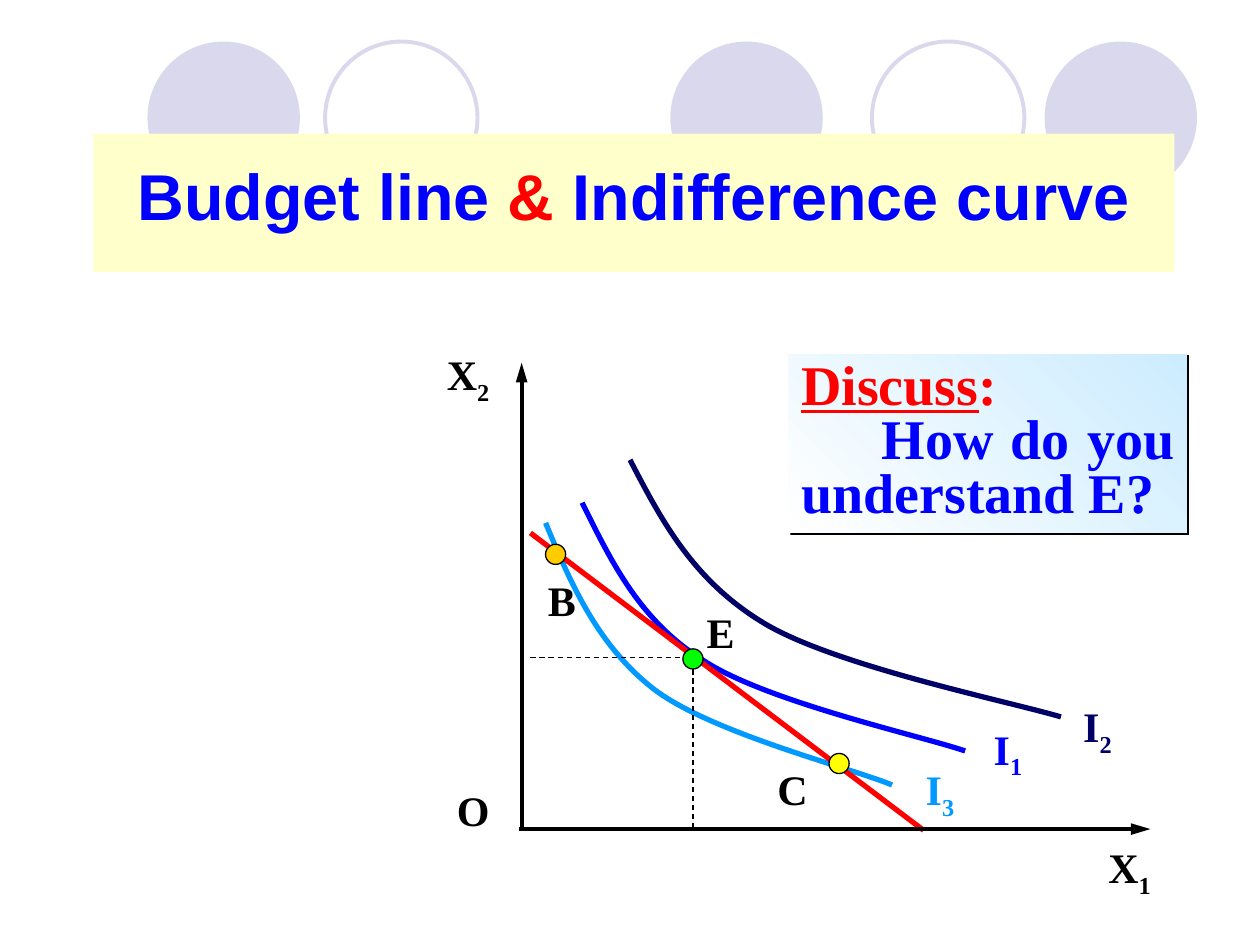
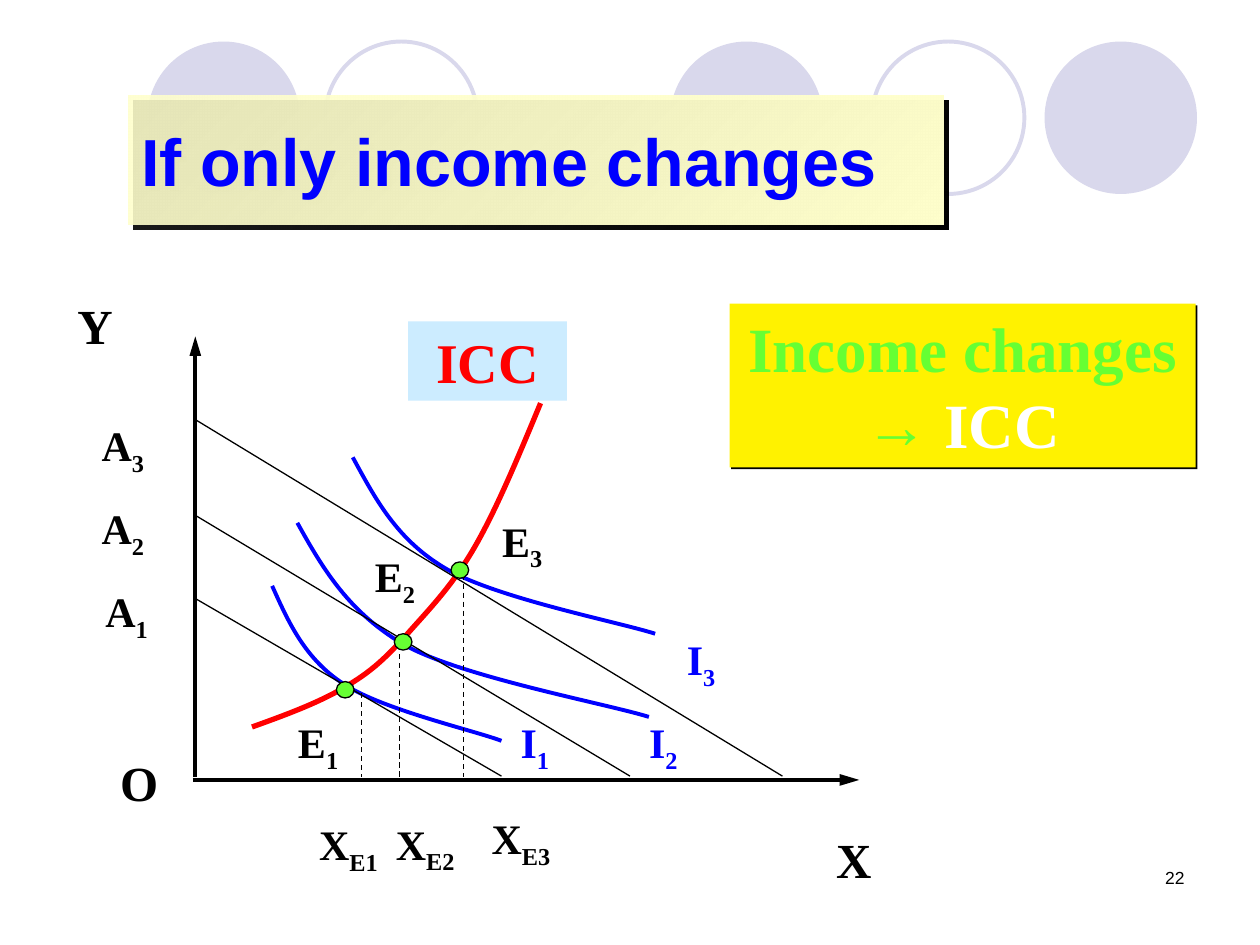
from lxml.etree import SubElement
from pptx import Presentation
from pptx.dml.color import RGBColor
from pptx.enum.dml import MSO_LINE
from pptx.enum.shapes import MSO_CONNECTOR, MSO_SHAPE
from pptx.enum.text import MSO_ANCHOR, MSO_AUTO_SIZE, PP_ALIGN
from pptx.oxml.ns import qn
from pptx.util import Inches, Pt

COLORS = {
    "circle": "D9D8EC", "cream": "FFFFCC", "sky": "CCECFF", "sun": "FFF200",
    "white": "FFFFFF", "black": "000000", "red": "FF0000", "blue": "0000FF",
    "azure": "0099FF", "navy": "000066", "green": "00FF00", "lime": "66FF33",
    "orange": "FFCC00", "yellow": "FFFF00",
}
SANS, SERIF = "Arial", "Times New Roman"


def rgb(name):
    return RGBColor.from_string(COLORS[name])


class Deck:
    def __init__(self):
        self.prs = Presentation()
        self.prs.slide_width, self.prs.slide_height = Inches(10), Inches(7.5)
        self.slide = None

    def new_slide(self):
        """Start a slide with the row of circles behind its title."""
        self.slide = self.prs.slides.add_slide(self.prs.slide_layouts[5])
        for left in (1.17, 5.32, 8.29):
            self.ellipse(left, 0.33, 1.21, 1.21, fill="circle")
        for left in (2.58, 6.92):
            self.ellipse(left, 0.33, 1.21, 1.21, line="circle", width=2.25)
        self.slide.shapes._spTree.append(self.slide.shapes.title._element)

    def ellipse(self, x, y, w, h, fill=None, line=None, width=0.75):
        shape = self.slide.shapes.add_shape(
            MSO_SHAPE.OVAL, Inches(x), Inches(y), Inches(w), Inches(h))
        shape.shadow.inherit = False
        self.paint(shape, fill)
        if line:
            shape.line.color.rgb = rgb(line)
            shape.line.width = Pt(width)
        else:
            shape.line.fill.background()

    def paint(self, shape, fill):
        if fill:
            shape.fill.solid()
            shape.fill.fore_color.rgb = rgb(fill)
        else:
            shape.fill.background()

    def gradient(self, shape, start, end, angle, start_opacity=100):
        shape.fill.gradient()
        shape.fill.gradient_angle = angle
        first, last = shape.fill.gradient_stops
        first.color.rgb, last.color.rgb = rgb(start), rgb(end)
        if start_opacity < 100:
            color = next(shape._element.spPr.iter(qn("a:srgbClr")))
            SubElement(color, qn("a:alpha"), val=str(start_opacity * 1000))

    def drop_shadow(self, shape, distance):
        shape.shadow.inherit = False
        effects = shape._element.spPr.find(qn("a:effectLst"))
        shadow = SubElement(effects, qn("a:outerShdw"), dist=str(Pt(distance)),
                            dir="2700000", algn="ctr", rotWithShape="0")
        SubElement(shadow, qn("a:srgbClr"), val=COLORS["black"])

    def frame(self, shape, inset=True, anchor=MSO_ANCHOR.TOP):
        frame = shape.text_frame
        frame.word_wrap = True
        frame.auto_size = MSO_AUTO_SIZE.NONE
        frame.vertical_anchor = anchor
        frame.margin_left = frame.margin_right = Inches(0.1 if inset else 0)
        frame.margin_top = frame.margin_bottom = Inches(0.05 if inset else 0)
        return frame

    def run(self, paragraph, text, size, color, font=SERIF, bold=True,
            underline=False, subscript=False):
        run = paragraph.add_run()
        run.text = text
        run.font.name, run.font.size, run.font.bold = font, Pt(size), bold
        run.font.color.rgb = rgb(color)
        if underline:
            run.font.underline = True
        if subscript:
            run._r.get_or_add_rPr().set("baseline", "-25000")

    def title(self, x, y, w, h, parts, size, align, anchor):
        """Place the title and write its (text, color) parts."""
        title = self.slide.shapes.title
        title.left, title.top = Inches(x), Inches(y)
        title.width, title.height = Inches(w), Inches(h)
        self.paint(title, "cream")
        paragraph = self.frame(title, anchor=anchor).paragraphs[0]
        paragraph.alignment = align
        for text, color in parts:
            self.run(paragraph, text, size, color, SANS)
        return title

    def panel(self, x, y, w, h, fill, **frame_options):
        shape = self.slide.shapes.add_shape(
            MSO_SHAPE.RECTANGLE, Inches(x), Inches(y), Inches(w), Inches(h))
        shape.shadow.inherit = False
        shape.line.fill.background()
        self.paint(shape, fill)
        return shape, self.frame(shape, **frame_options)

    def label(self, x, y, w, h, text, sub="", color="black", size=24,
              anchor=MSO_ANCHOR.TOP, fill=None):
        if fill:
            _, frame = self.panel(x, y, w, h, fill, inset=False, anchor=anchor)
        else:
            box = self.slide.shapes.add_textbox(
                Inches(x), Inches(y), Inches(w), Inches(h))
            frame = self.frame(box, inset=False, anchor=anchor)
        paragraph = frame.paragraphs[0]
        paragraph.alignment = PP_ALIGN.CENTER
        self.run(paragraph, text, size, color)
        if sub:
            self.run(paragraph, sub, size, color, subscript=True)

    def line(self, start, end, color="black", width=0.75, dashed=False, arrow=False):
        line = self.slide.shapes.add_connector(
            MSO_CONNECTOR.STRAIGHT, *map(Inches, (*start, *end)))
        line.line.color.rgb = rgb(color)
        line.line.width = Pt(width)
        if dashed:
            line.line.dash_style = MSO_LINE.DASH
        if arrow:
            SubElement(line.line._get_or_add_ln(), qn("a:tailEnd"),
                       type="triangle", w="med", len="lg")
        SubElement(line._element.spPr, qn("a:effectLst"))

    def axes(self, x, y, top, right):
        self.line((x, y - 0.02), (x, top), width=2.25, arrow=True)
        self.line((x - 0.02, y), (right, y), width=2.25, arrow=True)

    def curve(self, points, color, width):
        """Draw joined cubic curves: a start, then three points for each."""
        points = [(Inches(x), Inches(y)) for x, y in points]
        builder = self.slide.shapes.build_freeform(*points[0])
        builder.add_line_segments(points[1:], close=False)
        shape = builder.convert_to_shape()
        outline = next(shape._element.iter(qn("a:moveTo"))).getparent()
        segments = outline.findall(qn("a:lnTo"))
        for i in range(0, len(segments), 3):
            cubic = SubElement(outline, qn("a:cubicBezTo"))
            for segment in segments[i:i + 3]:
                cubic.append(segment[0])
                outline.remove(segment)
        shape.shadow.inherit = False
        shape.fill.background()
        shape.line.color.rgb = rgb(color)
        shape.line.width = Pt(width)


def budget_line_slide(deck):
    deck.new_slide()
    title = deck.title(
        0.74, 1.06, 8.58, 1.1,
        [("Budget line ", "blue"), ("& ", "red"), ("Indifference curve", "blue")],
        37, PP_ALIGN.CENTER, MSO_ANCHOR.TOP)
    heading = title.text_frame.paragraphs[0]
    heading.line_spacing, heading.space_before = 1.2, Pt(10)

    indifference = [
        ("1", "blue", (7.71, 5.74), [(4.62, 3.99), (4.85, 4.45), (5.07, 4.92), (5.58, 5.24),
                                     (6.08, 5.57), (7.31, 5.84), (7.66, 5.96)]),
        ("3", "azure", (7.17, 6.06), [(4.33, 4.15), (4.53, 4.63), (4.74, 5.12), (5.19, 5.47),
                                      (5.65, 5.82), (6.77, 6.1), (7.08, 6.23)]),
        ("2", "navy", (8.42, 5.56), [(5, 3.65), (5.25, 4.13), (5.5, 4.61), (6.07, 4.95),
                                     (6.64, 5.29), (8.02, 5.57), (8.42, 5.69)]),
    ]
    for number, color, place, points in indifference:
        deck.curve(points, color, 3)
        deck.label(*place, 0.58, 0.52, "I", number, color)
    deck.line((4.21, 4.23), (7.33, 6.59), "red", 3)
    deck.line((4.21, 5.22), (5.47, 5.22), dashed=True)
    deck.line((5.5, 5.17), (5.5, 6.56), dashed=True)

    discussion, frame = deck.panel(6.26, 2.81, 3.16, 1.42, None, anchor=MSO_ANCHOR.MIDDLE)
    deck.gradient(discussion, "white", "sky", 45)
    deck.drop_shadow(discussion, 1.4)
    prompt, question = frame.paragraphs[0], frame.add_paragraph()
    for paragraph in (prompt, question):
        paragraph.alignment, paragraph.line_spacing = PP_ALIGN.JUSTIFY, 0.8
    deck.run(prompt, "Discuss", 32, "red", underline=True)
    deck.run(prompt, ": ", 32, "red")
    question._p.get_or_add_pPr().set("indent", str(Inches(0.64)))
    deck.run(question, "How do you understand E?", 32, "blue")

    for name, dot, place, color in [("E", (5.42, 5.15), (5.43, 4.81), "green"),
                                    ("B", (4.33, 4.32), (4.17, 4.56), "orange"),
                                    ("C", (6.58, 5.98), (6, 6.06), "yellow")]:
        deck.ellipse(*dot, 0.16, 0.16, color, "black")
        deck.label(*place, 0.58, 0.52, name)

    deck.axes(4.14, 6.58, 2.88, 9.13)
    for name, sub, place, fill in [("X", "1", (8.5, 6.68), "white"),
                                   ("X", "2", (3.25, 2.77), None),
                                   ("O", "", (3.29, 6.23), None)]:
        deck.label(*place, 0.93, 0.63, name, sub, fill=fill)


def income_slide(deck):
    deck.new_slide()
    title = deck.title(1.02, 0.76, 6.47, 1.02, [("If only income changes", "blue")],
                       38, PP_ALIGN.LEFT, MSO_ANCHOR.MIDDLE)
    deck.gradient(title, "cream", "cream", 315, start_opacity=89)
    deck.drop_shadow(title, 4.2)

    number = deck.slide.shapes.add_textbox(
        Inches(7.17), Inches(6.83), Inches(2.33), Inches(0.5))
    paragraph = deck.frame(number).paragraphs[0]
    paragraph.alignment = PP_ALIGN.RIGHT
    deck.run(paragraph, "22", 10, "black", SANS, bold=False)

    deck.curve([(4.29, 3.2), (4.12, 3.61), (3.95, 4.02), (3.78, 4.32),
                (3.61, 4.62), (3.44, 4.8), (3.27, 4.99),
                (3.1, 5.18), (2.98, 5.31), (2.76, 5.44),
                (2.55, 5.57), (2.28, 5.67), (2, 5.77)], "red", 3)
    deck.axes(1.55, 6.19, 2.67, 6.82)
    for points in [
        [(2.16, 4.65), (2.29, 4.94), (2.42, 5.23), (2.73, 5.43),
         (3.03, 5.63), (3.77, 5.8), (3.98, 5.88)],
        [(2.36, 4.15), (2.56, 4.51), (2.77, 4.87), (3.23, 5.13),
         (3.7, 5.38), (4.83, 5.59), (5.15, 5.69)],
        [(2.8, 3.63), (2.98, 3.96), (3.15, 4.29), (3.55, 4.52),
         (3.95, 4.75), (4.92, 4.94), (5.2, 5.03)],
    ]:
        deck.curve(points, "blue", 2.25)

    for intercept, foot in [(4.75, 3.98), (4.09, 5), (3.33, 6.21)]:
        deck.line((1.55, intercept), (foot, 6.16))
    for x, top in [(2.87, 5.5), (3.17, 5.12), (3.68, 4.56)]:
        deck.line((x, top), (x, 6.17), dashed=True)
    for dot in [(2.67, 5.41), (3.13, 5.03), (3.58, 4.46)]:
        deck.ellipse(*dot, 0.14, 0.13, "lime", "black")

    for name, color, places in [
        ("A", "black", [(0.74, 4.65), (0.71, 3.99), (0.71, 3.33)]),
        ("E", "black", [(2.26, 5.69), (2.87, 4.37), (3.88, 4.09)]),
        ("I", "blue", [(3.98, 5.69), (5, 5.69), (5.3, 5.03)]),
    ]:
        for index, place in enumerate(places, 1):
            deck.label(*place, 0.53, 0.41, name, str(index), color)
    for index, place in enumerate([(2.36, 6.35, 0.81, 0.75), (2.97, 6.44, 0.81, 0.56),
                                   (3.68, 6.35, 0.91, 0.66)], 1):
        deck.label(*place, "X", f"E{index}", anchor=MSO_ANCHOR.MIDDLE)
    for name, place, anchor in [("X", (6.42, 6.54, 0.71), MSO_ANCHOR.MIDDLE),
                                ("Y", (0.43, 2.3, 0.65), MSO_ANCHOR.MIDDLE),
                                ("O", (0.77, 5.97, 0.67), MSO_ANCHOR.TOP)]:
        deck.label(*place, 0.56, name, size=28, anchor=anchor)
    deck.label(3.24, 2.55, 1.26, 0.63, "ICC", color="red", size=32,
               anchor=MSO_ANCHOR.MIDDLE, fill="sky")

    summary, frame = deck.panel(5.79, 2.41, 3.7, 1.3, "sun")
    deck.drop_shadow(summary, 1.4)
    cause, effect = frame.paragraphs[0], frame.add_paragraph()
    cause.alignment = effect.alignment = PP_ALIGN.CENTER
    cause.space_before = Pt(3)
    deck.run(cause, "Income changes", 36, "lime")
    deck.run(cause, " ", 32, "lime")
    deck.run(effect, "→ ", 36, "lime")
    deck.run(effect, "ICC", 36, "white")


def main():
    deck = Deck()
    budget_line_slide(deck)
    income_slide(deck)
    deck.prs.save("out.pptx")


if __name__ == "__main__":
    main()
